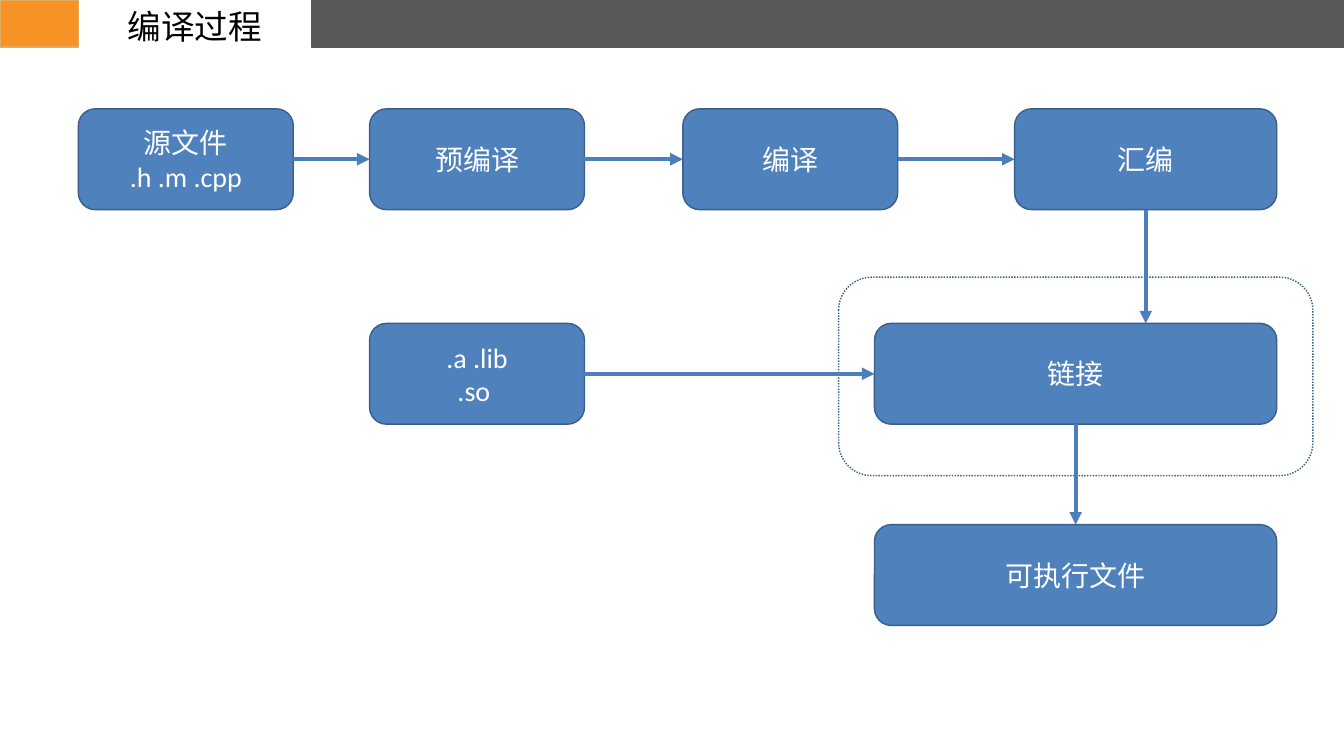
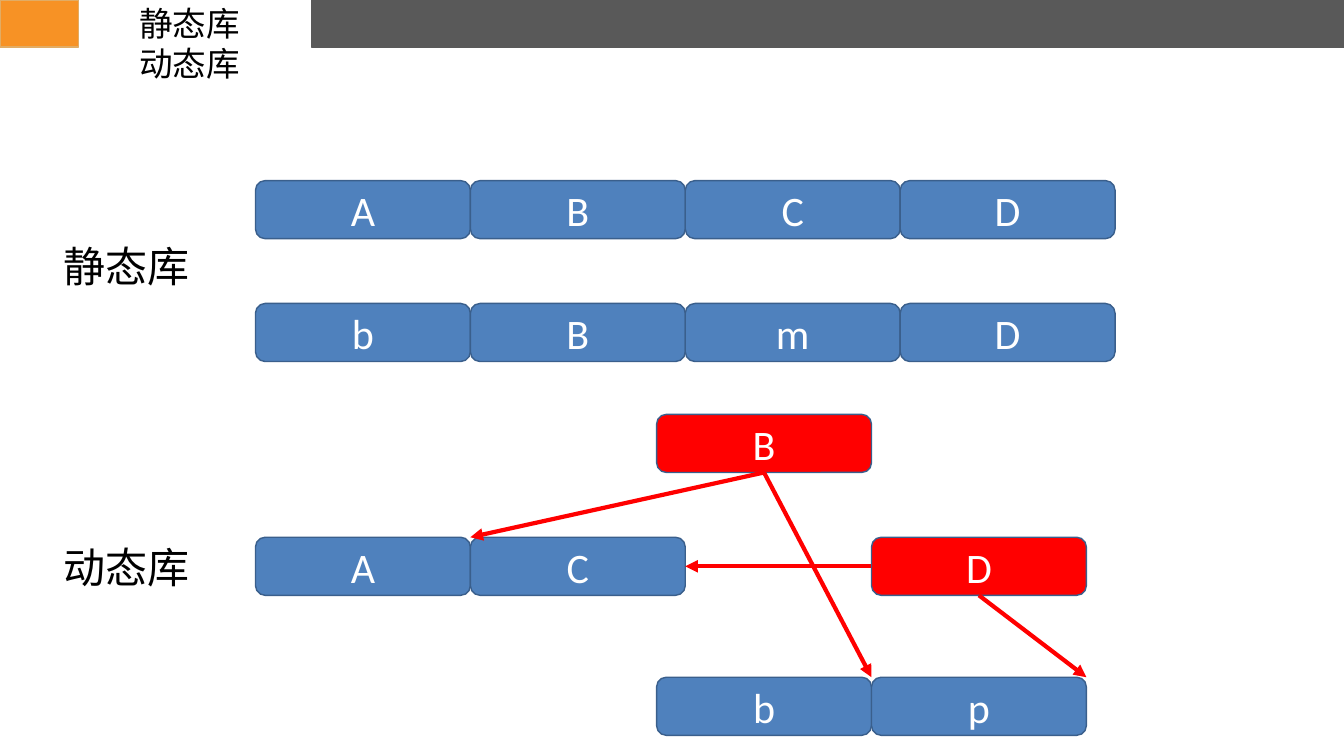
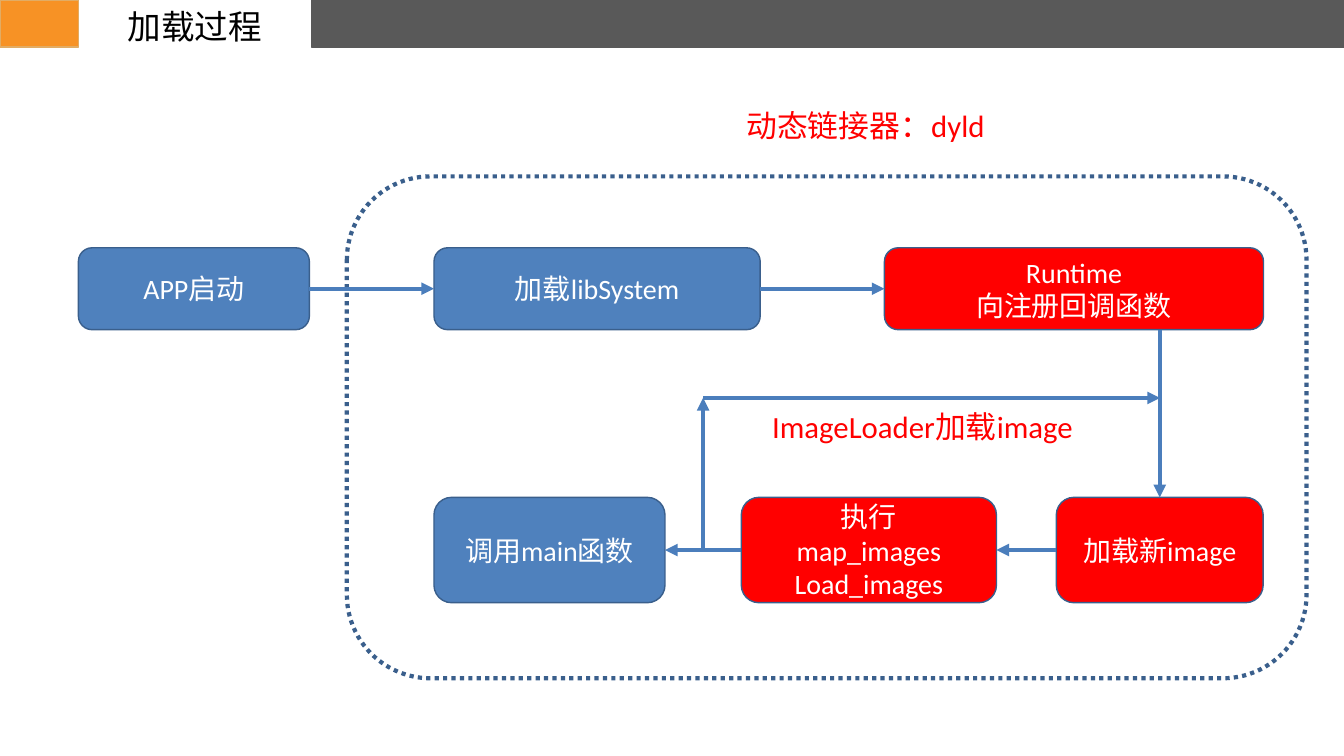
"""Build three slides on compiling, linking and loading a program."""
from dataclasses import dataclass

from lxml.etree import SubElement
from pptx import Presentation
from pptx.dml.color import RGBColor
from pptx.enum.dml import MSO_LINE_DASH_STYLE as Dash
from pptx.enum.shapes import MSO_CONNECTOR as Connector, MSO_SHAPE as Preset
from pptx.enum.text import MSO_ANCHOR as Anchor, MSO_AUTO_SIZE as AutoSize, PP_ALIGN as Align
from pptx.oxml.ns import qn
from pptx.util import Pt


@dataclass(frozen=True)
class Theme:
    font: str = "Calibri"
    blue: str = "4F81BD"
    red: str = "FF0000"
    outline: str = "3A5F8C"
    arrow: str = "4B7EBC"
    black: str = "000000"
    white: str = "FFFFFF"
    band: str = "595959"
    tab: str = "F79225"
    tab_edge: str = "E2AC64"
    title_size: int = 48
    box_size: int = 40
    note_size: int = 44
    chip_size: int = 60
    thin: int = 2
    thick: int = 6


THEME = Theme()
SLIDE_SIZE = (1920, 1080)
BANDS = [
    ((445, 0, 1475, 67), THEME.band, THEME.band),
    ((0, 0, 112, 67), THEME.tab, THEME.tab_edge),
]
TITLE_AREA = (112, 4.5, 333, 65.5)
TALL_TITLE_AREA = (104.5, 0, 333, 124)
SIDES = {"top": 0, "left": 1, "bottom": 2, "right": 3}

COMPILE_BOXES = {
    "source": (["源文件", ".h .m .cpp"], (112, 155.5, 307, 144), THEME.blue),
    "preprocess": (["预编译"], (528, 155.5, 307, 144), THEME.blue),
    "compile": (["编译"], (975.5, 155.5, 307, 144), THEME.blue),
    "assemble": (["汇编"], (1449.5, 155.5, 374.5, 144), THEME.blue),
    "link": (["链接"], (1249.25, 462, 574.75, 144), THEME.blue),
    "program": (["可执行文件"], (1249.25, 749.5, 574.75, 144), THEME.blue),
    "libraries": ([".a .lib", ".so "], (528, 462, 307, 144), THEME.blue),
}
COMPILE_ARROWS = [
    (("source", "right"), ("preprocess", "left")),
    (("preprocess", "right"), ("compile", "left")),
    (("compile", "right"), ("assemble", "left")),
    (("assemble", "bottom"), (1636.75, 462)),
    (("link", "bottom"), ("program", "top")),
    (("libraries", "right"), ("link", "left")),
]
LINK_FRAME = (1198, 396, 677.5, 283.5)

CHIP_WIDTH, CHIP_HEIGHT = 307, 83
STRIPS = [
    ("static one", "ABCD", 365, 258, THEME.blue),
    ("static two", "bBmD", 365, 433.5, THEME.blue),
    ("dynamic one", "AC", 365, 767.5, THEME.blue),
    ("dynamic two", "bp", 938, 967.5, THEME.blue),
    ("shared", "B", 938, 592, THEME.red),
    ("shared", "D", 1245, 767.5, THEME.red),
]
LIBRARY_LABELS = [("静态库", (83, 340.5, 210, 80)), ("动态库", (83, 770.5, 210, 80))]
LIBRARY_ARROWS = [
    (("shared B", "bottom"), (672, 767.5)),
    (("shared B", "bottom"), (1245, 967.5)),
    (("shared D", "left"), ("dynamic one C", "right")),
    (("shared D", "bottom"), (1552, 967.5)),
]

LOAD_BOXES = {
    "start": (["APP启动"], (112, 354, 330, 117), THEME.blue),
    "system": (["加载libSystem"], (620, 354, 466, 117), THEME.blue),
    "runtime": (["Runtime", "向注册回调函数"], (1263.5, 354, 541.5, 117), THEME.red),
    "run": (["执行", "map_images", "Load_images"], (1059, 710.5, 364.5, 150.5), THEME.red),
    "new image": (["加载新image"], (1509, 710.5, 295.5, 150.5), THEME.red),
    "main": (["调用main函数"], (620, 710.5, 330, 150.5), THEME.blue),
}
LOOP_CORNER, LOOP_END = (1004.5, 568.5), (1657, 568.5)
LOAD_ARROWS = [
    (("start", "right"), ("system", "left")),
    (("system", "right"), ("runtime", "left")),
    ((1656.75, 471), ("new image", "top")),
    (("new image", "left"), ("run", "right")),
    (("run", "left"), ("main", "right")),
    ((1004.5, 785.75), LOOP_CORNER),
    (LOOP_CORNER, LOOP_END),
]
LOADER_FRAME = (495.5, 252, 1371, 717)
LOADER_NOTES = [
    ("动态链接器：dyld", (1059, 148.5, 471, 60.5)),
    ("ImageLoader加载image", (1096, 579.5, 471, 60.5)),
]


def points(values):
    return [Pt(value) for value in values]


def write(shape, lines, size, color, align):
    frame = shape.text_frame
    frame.word_wrap = True
    for index, line in enumerate(lines):
        paragraph = frame.add_paragraph() if index else frame.paragraphs[0]
        paragraph.alignment = align
        run = paragraph.add_run()
        run.text = line
        run.font.name = THEME.font
        run.font.size = Pt(size)
        run.font.color.rgb = RGBColor.from_string(color)


def add_block(slide, preset, area, fill, edge, width=THEME.thin):
    shape = slide.shapes.add_shape(preset, *points(area))
    shape.shadow.inherit = False
    if fill:
        shape.fill.solid()
        shape.fill.fore_color.rgb = RGBColor.from_string(fill)
    else:
        shape.fill.background()
    shape.line.color.rgb = RGBColor.from_string(edge)
    shape.line.width = Pt(width)
    return shape


def add_box(slide, lines, area, fill, size=THEME.box_size):
    shape = add_block(slide, Preset.ROUNDED_RECTANGLE, area, fill, THEME.outline)
    shape.text_frame.vertical_anchor = Anchor.MIDDLE
    write(shape, lines, size, THEME.white, Align.CENTER)
    return shape


def add_boxes(slide, boxes):
    return {name: add_box(slide, *box) for name, box in boxes.items()}


def add_frame(slide, area, width):
    shape = add_block(slide, Preset.ROUNDED_RECTANGLE, area, None, THEME.outline, width)
    shape.line.dash_style = Dash.ROUND_DOT


def add_label(slide, lines, area, size, color, align=Align.LEFT, anchor=Anchor.TOP):
    label = slide.shapes.add_textbox(*points(area))
    label.text_frame.auto_size = AutoSize.SHAPE_TO_FIT_TEXT
    label.text_frame.vertical_anchor = anchor
    write(label, lines, size, color, align)


def add_arrows(slide, shapes, arrows, color):
    for start, end in arrows:
        places = [(0, 0) if place[0] in shapes else place for place in (start, end)]
        connector = slide.shapes.add_connector(Connector.STRAIGHT, *points(places[0] + places[1]))
        for place, attach in ((start, connector.begin_connect), (end, connector.end_connect)):
            if place[0] in shapes:
                attach(shapes[place[0]], SIDES[place[1]])
        connector.line.color.rgb = RGBColor.from_string(color)
        connector.line.width = Pt(THEME.thick)
        properties = connector.element.spPr
        SubElement(properties.find(qn("a:ln")), qn("a:tailEnd"), type="triangle")
        SubElement(properties, qn("a:effectLst"))


def add_bands(layout, slide):
    for placeholder in list(layout.placeholders):
        layout.shapes.element.remove(placeholder.element)
    for area, fill, edge in BANDS:
        band = add_block(slide, Preset.RECTANGLE, area, fill, edge)
        layout.shapes.element.append(band.element)


def add_title(slide, lines, area=TITLE_AREA):
    add_label(slide, lines, area, THEME.title_size, THEME.black, Align.CENTER, Anchor.MIDDLE)


def build_compile(slide):
    add_title(slide, ["编译过程"])
    boxes = add_boxes(slide, COMPILE_BOXES)
    add_frame(slide, LINK_FRAME, THEME.thin)
    add_arrows(slide, boxes, COMPILE_ARROWS, THEME.arrow)


def build_libraries(slide):
    add_title(slide, ["静态库", "动态库"], TALL_TITLE_AREA)
    chips = {}
    for name, letters, left, top, fill in STRIPS:
        for index, letter in enumerate(letters):
            area = (left + index * CHIP_WIDTH, top, CHIP_WIDTH, CHIP_HEIGHT)
            chips[f"{name} {letter}"] = add_box(slide, [letter], area, fill, THEME.chip_size)
    for text, area in LIBRARY_LABELS:
        add_label(slide, [text], area, THEME.chip_size, THEME.black)
    add_arrows(slide, chips, LIBRARY_ARROWS, THEME.red)


def build_load(slide):
    add_title(slide, ["加载过程"])
    boxes = add_boxes(slide, LOAD_BOXES)
    add_frame(slide, LOADER_FRAME, THEME.thick)
    add_arrows(slide, boxes, LOAD_ARROWS, THEME.arrow)
    for text, area in LOADER_NOTES:
        add_label(slide, [text], area, THEME.note_size, THEME.red)


def main():
    presentation = Presentation()
    presentation.slide_width, presentation.slide_height = points(SLIDE_SIZE)
    layout = presentation.slide_layouts[6]
    for index, build in enumerate((build_compile, build_libraries, build_load)):
        slide = presentation.slides.add_slide(layout)
        if index == 0:
            add_bands(layout, slide)
        build(slide)
    presentation.save("out.pptx")


if __name__ == "__main__":
    main()
